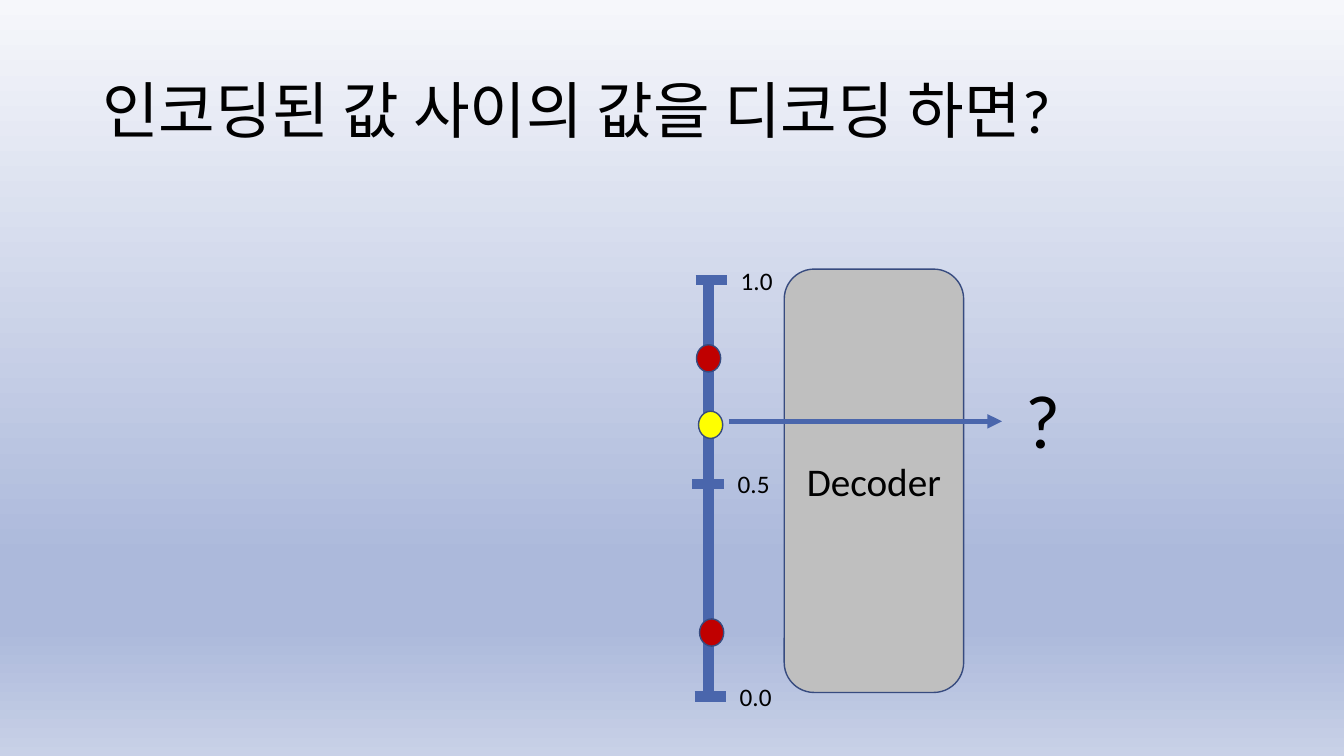
from copy import deepcopy

from lxml import etree
from pptx import Presentation
from pptx.dml.color import RGBColor
from pptx.enum.shapes import MSO_CONNECTOR, MSO_SHAPE
from pptx.enum.text import MSO_ANCHOR, MSO_AUTO_SIZE, PP_ALIGN
from pptx.oxml.ns import qn
from pptx.util import Inches, Pt

STRAIGHT = MSO_CONNECTOR.STRAIGHT
ROUNDED, OVAL = MSO_SHAPE.ROUNDED_RECTANGLE, MSO_SHAPE.OVAL
MIDDLE, TOP = MSO_ANCHOR.MIDDLE, MSO_ANCHOR.TOP
CENTER, LEFT = PP_ALIGN.CENTER, PP_ALIGN.LEFT
FIT, FIXED = MSO_AUTO_SIZE.SHAPE_TO_FIT_TEXT, MSO_AUTO_SIZE.NONE

COLORS = {
    "text": "000000",
    "axis": "4A66AC",
    "outline": "374B7F",
    "decoder": "BFBFBF",
    "encoded": "C00000",
    "between": "FFFF00",
}
BACKDROP = [(0, "F6F7FB"), (74, "ACB9DB"), (83, "ACB9DB"), (100, "C8D1E7")]

deck = Presentation()
deck.slide_width, deck.slide_height = Inches(13.333), Inches(7.5)
CELL = deck.slide_height / 90
page = deck.slides.add_slide(deck.slide_layouts[6])


def grid(*cells):
    return [round(cell * CELL) for cell in cells]


def write(box, text, size, align=LEFT, anchor=TOP, wrap=False):
    frame = box.text_frame
    frame.word_wrap = wrap
    frame.auto_size = FIXED if wrap else FIT
    frame.vertical_anchor = anchor
    para = frame.paragraphs[0]
    para.alignment = align
    span = para.add_run()
    span.text = text
    span.font.name = "Calibri"
    span.font.size = Pt(size)
    span.font.color.rgb = RGBColor.from_string(COLORS["text"])
    return para


backdrop = page.background.fill
backdrop.gradient()
backdrop.gradient_angle = 270
stops = next(page.element.iter(qn("a:gsLst")))
for stop in list(stops):
    stops.remove(stop)
for share, color in BACKDROP:
    stop = etree.SubElement(stops, qn("a:gs"), pos=str(share * 1000))
    etree.SubElement(stop, qn("a:srgbClr"), val=color)

title = page.shapes.add_textbox(*grid(11, 4.8, 138, 17.4))
write(title, "인코딩된 값 사이의 값을 디코딩 하면?", 44, anchor=MIDDLE, wrap=True).line_spacing = 0.9

TICK_WIDTH = 3.72
ticks = [("1.0", 82.8, 33.36), ("0.5", 82.44, 57.6), ("0.0", 82.68, 82.92)]
lines = [(84.36, 33.12, 84.36, 83.4, 7.5)]
lines += [(left, row, left + TICK_WIDTH, row, 7.5) for _, left, row in ticks]
lines.append((86.76, 50.16, 119.28, 50.16, 3.5))

parts = [(ROUNDED, 93.36, 32.04, 21.36, 50.4, "decoder")]
parts += [
    (OVAL, left, top, 2.88, 3.24, color)
    for left, top, color in [
        (82.92, 41.04, "encoded"),
        (83.28, 73.68, "encoded"),
        (83.16, 48.96, "between"),
    ]
]
shapes = []
for kind, left, top, width, height, color in parts:
    shape = page.shapes.add_shape(kind, *grid(left, top, width, height))
    shape.shadow.inherit = False
    shape.fill.solid()
    shape.fill.fore_color.rgb = RGBColor.from_string(COLORS[color])
    shape.line.color.rgb = RGBColor.from_string(COLORS["outline"])
    shape.line.width = Pt(1)
    shapes.append(shape)
decoder, *dots = shapes
write(decoder, "Decoder", 28, CENTER, MIDDLE, True)

for left, top, right, bottom, weight in lines:
    line = page.shapes.add_connector(STRAIGHT, *grid(left, top, right, bottom))
    line.line.color.rgb = RGBColor.from_string(COLORS["axis"])
    line.line.width = Pt(weight)
    etree.SubElement(line.element.spPr, qn("a:effectLst"))
arrow = line
etree.SubElement(arrow.line._get_or_add_ln(), qn("a:tailEnd"), type="triangle")

for dot in dots:
    page.shapes.element.append(dot.element)

for label, left, row in ticks:
    write(page.shapes.add_textbox(*grid(left + 4.2, row - 2.4, 6.24, 4.8)), label, 18)
write(page.shapes.add_textbox(*grid(120.96, 43.8, 6.6, 12.12)), "?", 54)

deck.save("out.pptx")
